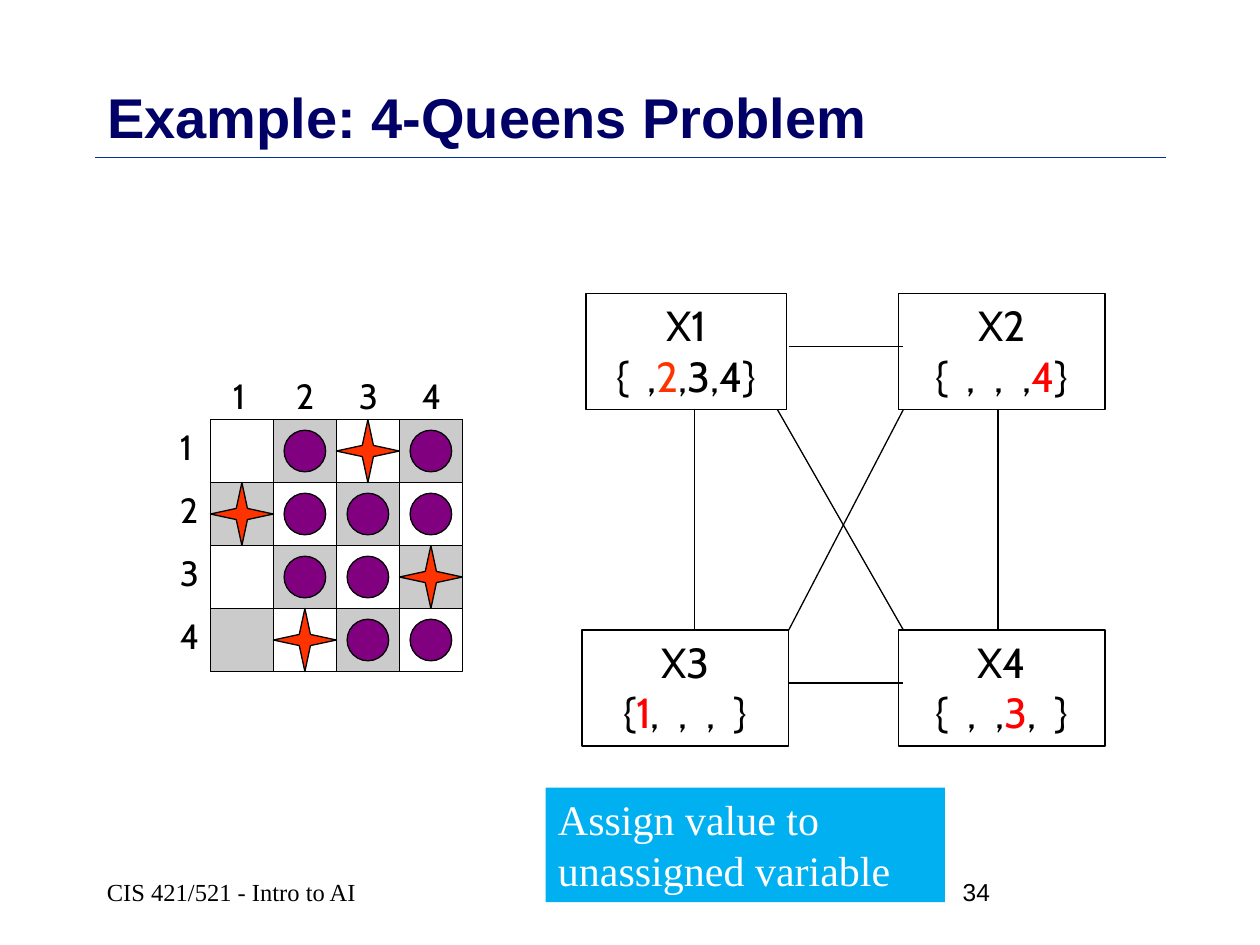
from lxml import etree
from pptx import Presentation
from pptx.dml.color import RGBColor
from pptx.enum.shapes import MSO_CONNECTOR, MSO_SHAPE
from pptx.enum.text import MSO_ANCHOR, MSO_AUTO_SIZE, PP_ALIGN
from pptx.oxml.ns import qn
from pptx.util import Inches, Pt

RECT, STAR, OVAL = MSO_SHAPE.RECTANGLE, MSO_SHAPE.STAR_4_POINT, MSO_SHAPE.OVAL
STRAIGHT = MSO_CONNECTOR.STRAIGHT
MIDDLE, TOP = MSO_ANCHOR.MIDDLE, MSO_ANCHOR.TOP
LEFT, CENTER = PP_ALIGN.LEFT, PP_ALIGN.CENTER
NO_FIT = MSO_AUTO_SIZE.NONE
SERIF, SANS, BOARD_FONT = "Times New Roman", "Arial", "Cabin"
BLACK, WHITE, NAVY, BLUE, CYAN = "000000", "FFFFFF", "000066", "003399", "00B0F0"
GRAY, PURPLE, ORANGE, RED = "CBCBCB", "800080", "FF3300", "FF0000"

BOARD_LEFT, BOARD_TOP, CELL, DOT = 1.67, 3.33, 0.5, 0.33
QUEEN_ROWS = [1, 3, 0, 2]
VARIABLES = [
    ("X1", 4.65, 2.33, 1.59, ("{  ,", "2", ",3,4}"), ORANGE),
    ("X2", 7.13, 2.33, 1.64, ("{  ,  ,  ,", "4", "}"), RED),
    ("X3", 4.62, 5, 1.64, ("{", "1", ",  ,  ,  }"), RED),
    ("X4", 7.13, 5, 1.64, ("{  ,  ,", "3", ",  }"), RED),
]
CONSTRAINTS = [
    (6.26, 2.75, 7.17, 2.75),
    (5.51, 3.25, 5.51, 5),
    (6.26, 5.42, 7.17, 5.42),
    (7.92, 3.25, 7.92, 5),
    (6.17, 3.25, 7.17, 5),
    (7.17, 3.25, 6.26, 5),
]


def rgb(value):
    """Turn a hex string into a colour."""
    return RGBColor.from_string(value)


class Board:
    """Holds the current slide and draws each kind of element in its style."""

    def __init__(self, slide):
        self.slide = slide

    def format(self, paragraph, font, size, color=BLACK, align=LEFT, bold=False):
        paragraph.alignment = align
        paragraph.font.name = font
        paragraph.font.size = Pt(size)
        paragraph.font.bold = bold
        paragraph.font.color.rgb = rgb(color)

    def title(self, text, left, top, width, height):
        title = self.slide.shapes.title
        title.left, title.top = Inches(left), Inches(top)
        title.width, title.height = Inches(width), Inches(height)
        title.text_frame.text = text
        title.text_frame.auto_size = NO_FIT
        title.text_frame.vertical_anchor = MIDDLE
        self.format(title.text_frame.paragraphs[0], SANS, 32, NAVY, bold=True)

    def text(self, text, left, top, width, height, font, size, anchor=TOP, wrap=True, inset=0.1):
        box = self.slide.shapes.add_textbox(*map(Inches, (left, top, width, height)))
        frame = box.text_frame
        frame.word_wrap = wrap
        frame.vertical_anchor = anchor
        frame.margin_left = Inches(inset)
        frame.text = text
        self.format(frame.paragraphs[0], font, size)

    def shape(self, kind, left, top, width, height, fill=None, line=BLACK):
        shape = self.slide.shapes.add_shape(kind, *map(Inches, (left, top, width, height)))
        shape.shadow.inherit = False
        if fill:
            shape.fill.solid()
            shape.fill.fore_color.rgb = rgb(fill)
        else:
            shape.fill.background()
        if line:
            shape.line.color.rgb = rgb(line)
            shape.line.width = Pt(0.75)
        else:
            shape.line.fill.background()
        return shape

    def cell_mark(self, kind, row, column, size, fill):
        gap = (CELL - size) / 2
        left = BOARD_LEFT + column * CELL + gap
        top = BOARD_TOP + row * CELL + gap
        return self.shape(kind, left, top, size, size, fill)

    def queen(self, row, column):
        star = self.cell_mark(STAR, row, column, CELL, ORANGE)
        star.adjustments[0] = 0.125

    def variable(self, name, left, top, width, domain, accent):
        frame = self.shape(RECT, left, top, width, 0.92).text_frame
        frame.word_wrap = False
        frame.vertical_anchor = TOP
        frame.text = name
        values = frame.add_paragraph()
        for part in domain:
            values.add_run().text = part
        for paragraph in frame.paragraphs:
            self.format(paragraph, BOARD_FONT, 24, align=CENTER)
        values.runs[1].font.color.rgb = rgb(accent)

    def line(self, x1, y1, x2, y2, color=BLACK, width=0.75):
        line = self.slide.shapes.add_connector(STRAIGHT, *map(Inches, (x1, y1, x2, y2)))
        line.line.color.rgb = rgb(color)
        line.line.width = Pt(width)
        etree.SubElement(line._element.spPr, qn("a:effectLst"))

    def callout(self, text, left, top, width, height):
        frame = self.shape(RECT, left, top, width, height, CYAN, None).text_frame
        frame.word_wrap = True
        frame.vertical_anchor = TOP
        frame.text = text
        self.format(frame.paragraphs[0], SERIF, 24, WHITE)


def main():
    """Build the 4-queens slide."""
    deck = Presentation()
    deck.slide_width, deck.slide_height = Inches(10), Inches(7.5)
    board = Board(deck.slides.add_slide(deck.slide_layouts[5]))

    board.line(0.75, 1.25, 9.25, 1.25, BLUE, 1)
    board.text("CIS 421/521 - Intro to AI", 0.75, 6.83, 2.58, 0.5, SERIF, 14, MIDDLE)
    board.text("34", 7.17, 6.83, 2.08, 0.5, SANS, 14, MIDDLE, inset=0.47)
    board.title("Example: 4-Queens Problem", 0.75, 0.67, 8.5, 0.5)

    size = len(QUEEN_ROWS)
    board.shape(RECT, BOARD_LEFT, BOARD_TOP, size * CELL, size * CELL)
    squares = [(row, column) for row in range(size) for column in range(size)]
    for row, column in squares:
        if (row + column) % 2:
            board.cell_mark(RECT, row, column, CELL, GRAY)
    for index in range(size):
        label, offset = str(index + 1), index * CELL
        board.text(label, 1.33, BOARD_TOP + offset, 0.35, 0.44, BOARD_FONT, 20, wrap=False)
        board.text(label, 1.75 + offset, 2.92, 0.35, 0.44, BOARD_FONT, 20, wrap=False)

    for variable in VARIABLES:
        board.variable(*variable)
    for constraint in CONSTRAINTS:
        board.line(*constraint)

    for row, column in squares:
        if QUEEN_ROWS[column] == row:
            board.queen(row, column)
        elif column > 0:
            board.cell_mark(OVAL, row, column, DOT, PURPLE)

    board.callout("Assign value to unassigned variable", 4.33, 6.25, 3.17, 0.91)
    deck.save("out.pptx")


if __name__ == "__main__":
    main()
